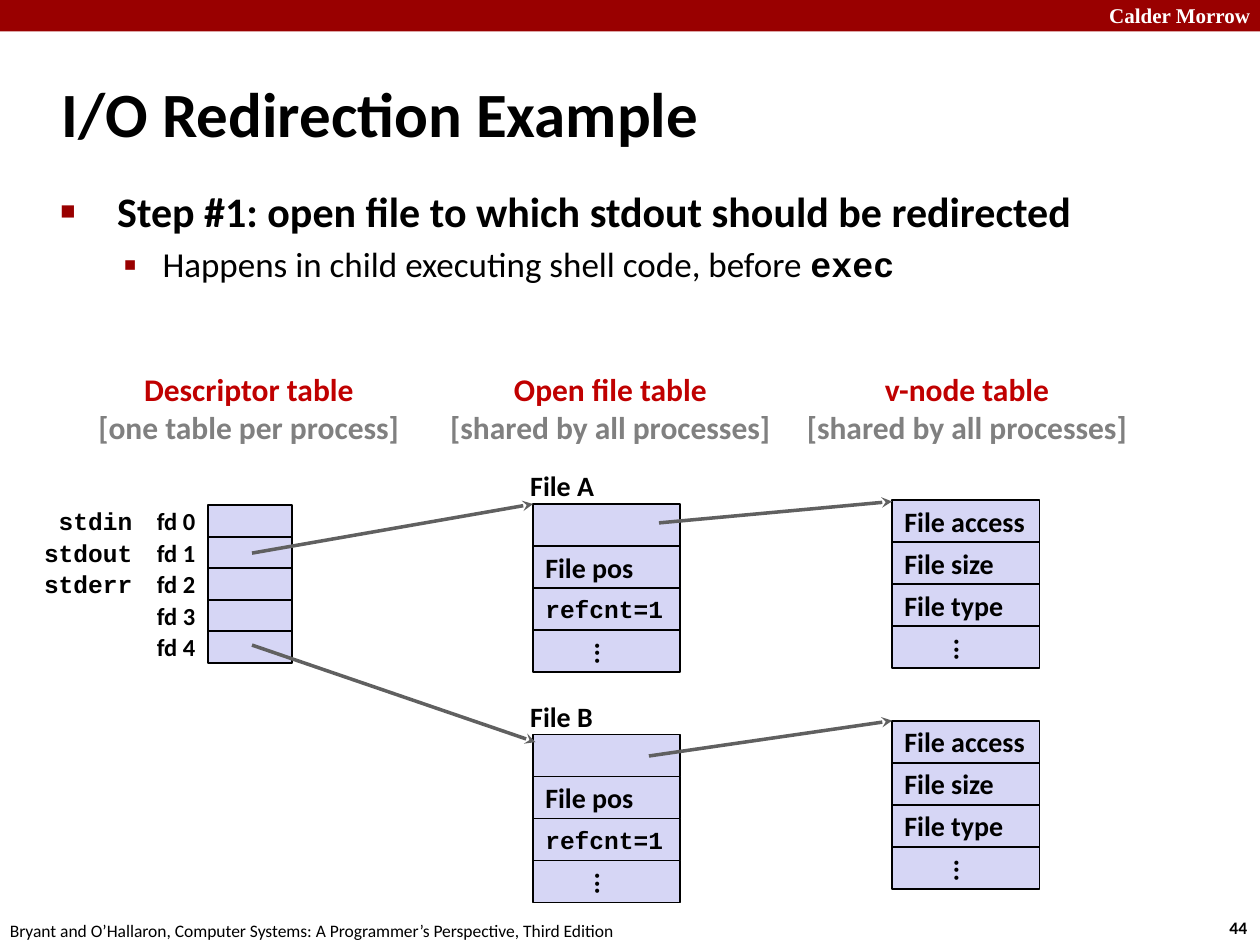
from lxml import etree
from pptx import Presentation
from pptx.dml.color import RGBColor
from pptx.enum.shapes import MSO_CONNECTOR, MSO_SHAPE
from pptx.enum.text import MSO_ANCHOR, MSO_AUTO_SIZE, PP_ALIGN
from pptx.oxml.ns import qn
from pptx.util import Inches, Pt

BLACK = RGBColor(0x00, 0x00, 0x00)
WHITE = RGBColor(0xFF, 0xFF, 0xFF)
BAND_RED = RGBColor(0x99, 0x00, 0x00)
HEADING_RED = RGBColor(0xC0, 0x00, 0x00)
GRAY = RGBColor(0x80, 0x80, 0x80)
ARROW_GRAY = RGBColor(0x60, 0x60, 0x60)
CELL_FILL = RGBColor(0xD6, 0xD6, 0xF5)
SANS, MONO, SERIF = "Calibri", "Courier New", "Times New Roman"

# Content
TITLE = "I/O Redirection Example"
STEP = "Step #1: open file to which stdout should be redirected"
DETAIL = ("Happens in child executing shell code, before ", "exec")
SCHOOL = "Calder Morrow"
CITATION = "Bryant and O’Hallaron, Computer Systems: A Programmer’s Perspective, Third Edition"
PAGE = "44"
HEADINGS = [  # left, width, name, scope
    (0.67, 2.61, "Descriptor table", "[one table per process]"),
    (3.46, 2.77, "Open file table", "[shared by all processes]"),
    (6.29, 2.77, "v-node table", "[shared by all processes]"),
]
STREAMS = ["stdin", "stdout", "stderr"]
DESCRIPTORS = ["fd 0", "fd 1", "fd 2", "fd 3", "fd 4"]
OPEN_FILE = ["", "File pos", "refcnt=1", "..."]
VNODE = ["File access", "File size", "File type", "..."]
FILES = [("File A", 4.0, 3.97), ("File B", 5.83, 5.72)]  # name, open file top, v-node top
ARROWS = [
    ((2, 4.39), (4.23, 4)),
    ((5.23, 4.15), (7.08, 3.98)),
    ((2, 5.12), (4.25, 5.89)),
    ((5.15, 6), (7.08, 5.72)),
]

# Layout
FD_LEFT, FD_TOP, FD_WIDTH, FD_HEIGHT = 1.65, 4.01, 0.67, 0.25
OPEN_LEFT, VNODE_LEFT, CELL_WIDTH, CELL_HEIGHT = 4.23, 7.08, 1.17, 1 / 3

presentation = Presentation()
presentation.slide_width, presentation.slide_height = Inches(10), Inches(7.5)
slide = presentation.slides.add_slide(presentation.slide_layouts[1])


def set_font(font, size, color=BLACK, name=SANS, bold=True):
    font.size, font.name, font.bold = Pt(size), name, bold
    font.color.rgb = color


def place(shape, left, top, width, height):
    shape.left, shape.top = Inches(left), Inches(top)
    shape.width, shape.height = Inches(width), Inches(height)


def add_label(box, text, size, align=PP_ALIGN.LEFT, anchor=MSO_ANCHOR.MIDDLE,
              wrap=False, **style):
    label = slide.shapes.add_textbox(*map(Inches, box))
    frame = label.text_frame
    frame.word_wrap, frame.vertical_anchor = wrap, anchor
    frame.text = text
    for paragraph in frame.paragraphs:
        paragraph.alignment = align
        set_font(paragraph.font, size, **style)
    return frame


def add_box(left, top, width, height, fill, line=None):
    box = slide.shapes.add_shape(
        MSO_SHAPE.RECTANGLE, *map(Inches, (left, top, width, height)))
    box.shadow.inherit = False
    box.fill.solid()
    box.fill.fore_color.rgb = fill
    if line is None:
        box.line.fill.background()
    else:
        box.line.color.rgb, box.line.width = line, Pt(1)
    return box


def add_record(left, top, fields):
    """Stack one cell per field; an ellipsis runs downwards."""
    for row, field in enumerate(fields):
        cell = add_box(left, top + row * CELL_HEIGHT, CELL_WIDTH, CELL_HEIGHT,
                       CELL_FILL, BLACK)
        if not field:
            continue
        frame = cell.text_frame
        frame.word_wrap, frame.vertical_anchor = False, MSO_ANCHOR.MIDDLE
        frame.text = field
        paragraph = frame.paragraphs[0]
        paragraph.alignment = PP_ALIGN.LEFT
        if field == "refcnt=1":
            set_font(paragraph.font, 14, name=MONO)
        else:
            set_font(paragraph.font, 16)
        if field == "...":
            frame._txBody.bodyPr.set("vert", "eaVert")


def add_arrow(start, end):
    arrow = slide.shapes.add_connector(
        MSO_CONNECTOR.STRAIGHT, *map(Inches, start + end))
    arrow.line.color.rgb, arrow.line.width = ARROW_GRAY, Pt(2)
    etree.SubElement(arrow.line._get_or_add_ln(), qn("a:tailEnd"), type="stealth")
    etree.SubElement(arrow._element.spPr, qn("a:effectLst"))


def set_bullet(paragraph, character, percent, margin, indent):
    properties = paragraph._p.get_or_add_pPr()
    properties.set("marL", str(Inches(margin)))
    properties.set("indent", str(-Inches(indent)))
    color = etree.SubElement(properties, qn("a:buClr"))
    etree.SubElement(color, qn("a:srgbClr"), val=str(BAND_RED))
    etree.SubElement(properties, qn("a:buSzPct"), val=str(percent * 1000))
    etree.SubElement(properties, qn("a:buFont"), typeface="Arial")
    etree.SubElement(properties, qn("a:buChar"), char=character)


# Header band and footer
add_box(0, 0, 10, 0.25, BAND_RED)
add_label((8.64, -0.03, 1.38, 0.3), SCHOOL, 12, PP_ALIGN.RIGHT,
          MSO_ANCHOR.TOP, True, color=WHITE, name=SERIF)
add_label((9.66, 7.23, 0.37, 0.27), PAGE, 10, anchor=MSO_ANCHOR.TOP)
add_label((-0.02, 7.25, 5.08, 0.27), CITATION, 10, anchor=MSO_ANCHOR.TOP, bold=False)

# Title and bullets
title, body = slide.shapes.title, slide.placeholders[1]
place(title, 0.39, 0.48, 8.3, 0.83)
place(body, 0.38, 1.42, 9.35, 1.08)
title.text_frame.text = TITLE
title.text_frame.vertical_anchor = MSO_ANCHOR.MIDDLE
title.text_frame.paragraphs[0].alignment = PP_ALIGN.LEFT
set_font(title.text_frame.paragraphs[0].font, 36)
for placeholder in (title, body):
    placeholder.text_frame.auto_size = MSO_AUTO_SIZE.NONE

step = body.text_frame.paragraphs[0]
step.text = STEP
set_font(step.font, 24)
set_bullet(step, "■", 60, 0.45, 0.45)
detail = body.text_frame.add_paragraph()
detail.level = 1
for text, name, bold in zip(DETAIL, (SANS, MONO), (False, True)):
    run = detail.add_run()
    run.text = text
    set_font(run.font, 20, name=name, bold=bold)
set_bullet(detail, "▪", 110, 0.81, 0.31)

# Table headings
for left, width, name, scope in HEADINGS:
    frame = add_label((left, 2.88, width, 0.71), f"{name}\n{scope}", 18,
                      PP_ALIGN.CENTER, color=HEADING_RED)
    frame.paragraphs[1].font.color.rgb = GRAY

# Descriptor table
for row, descriptor in enumerate(DESCRIPTORS):
    top = FD_TOP + row * FD_HEIGHT
    add_box(FD_LEFT, top, FD_WIDTH, FD_HEIGHT, CELL_FILL, BLACK)
    add_label((FD_LEFT - FD_WIDTH, top, FD_WIDTH, FD_HEIGHT), descriptor, 14,
              PP_ALIGN.RIGHT)
for row, stream in enumerate(STREAMS):
    add_label((0.25, 3.97 + row * FD_HEIGHT, 0.9, 0.33), stream, 14,
              PP_ALIGN.RIGHT, name=MONO)

# Open files and their v-nodes
for name, open_top, vnode_top in FILES:
    add_label((4.11, open_top - 0.33, 0.71, 0.37), name, 16)
    add_record(OPEN_LEFT, open_top, OPEN_FILE)
    add_record(VNODE_LEFT, vnode_top, VNODE)

# Pointers between the tables
for start, end in ARROWS:
    add_arrow(start, end)

presentation.save("out.pptx")
